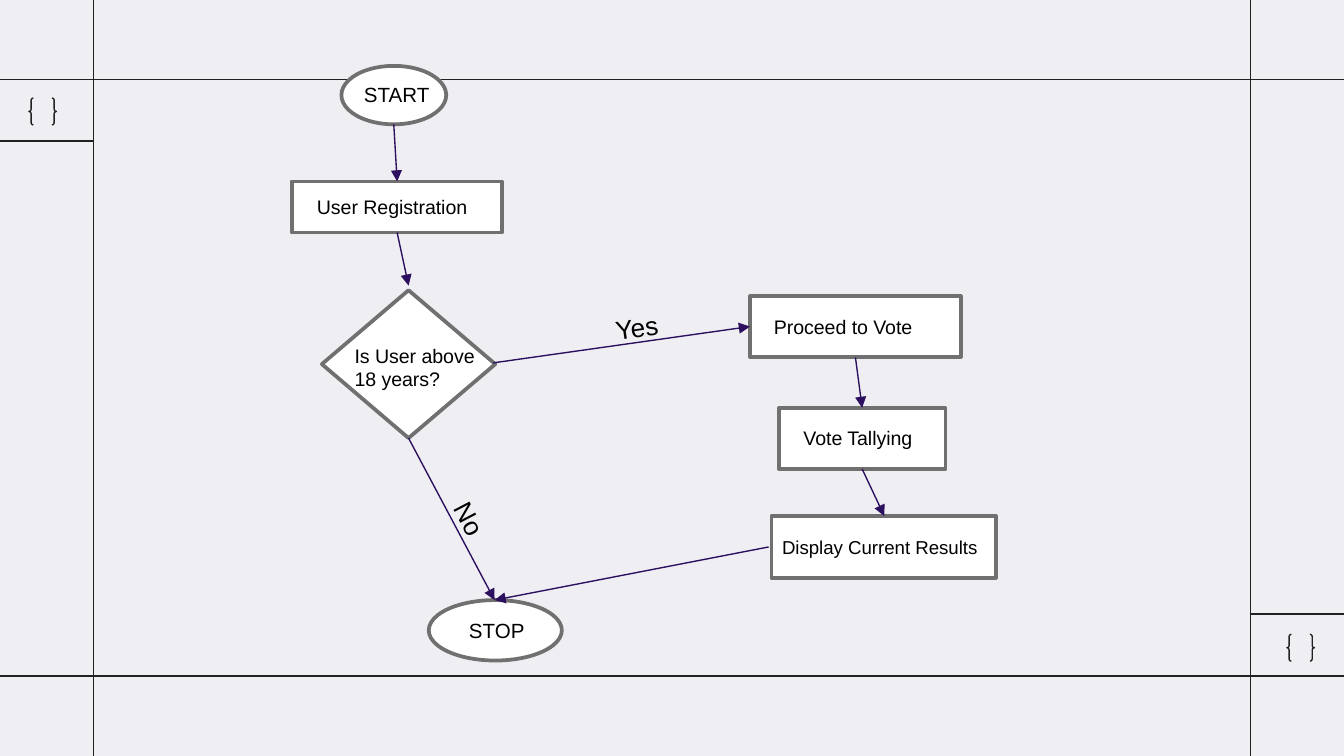
from dataclasses import dataclass

from lxml import etree
from pptx import Presentation
from pptx import util as u
from pptx.dml.color import RGBColor
from pptx.enum import shapes, text
from pptx.oxml import ns

PX = u.Inches(1) // 200
WIDTH, HEIGHT = 2000, 1125


@dataclass(frozen=True)
class Theme:
    background: str = "EFEEF3"
    frame: str = "222020"
    fill: str = "FFFFFF"
    border: str = "707070"
    arrow: str = "2C105F"
    ink: str = "000000"
    font: str = "Arial"
    thin: float = 0.75
    thick: float = 2
    small: float = 10
    body: float = 10.5
    terminal: float = 11
    branch: float = 14


THEME = Theme()
KIND = shapes.MSO_SHAPE

FRAME_LINES = [
    ((-2, 118), (2002, 118)),
    ((-2, 1006), (2002, 1006)),
    ((139, HEIGHT), (139, 0)),
    ((1861, HEIGHT), (1861, 0)),
    ((1861, 914), (2002, 914)),
    ((-2, 210), (139, 210)),
]

# Each step: outline kind, outline box, label, label box, type size
STEPS = [
    (KIND.OVAL, (508, 98, 156, 87), "START", (522, 112, 182, 58), THEME.terminal),
    (KIND.RECTANGLE, (434, 270, 313, 76), "User Registration", (452, 280, 278, 56), THEME.body),
    (KIND.DIAMOND, (479, 432, 258, 220), "Is User above 18 years?", (508, 502, 234, 90), THEME.body),
    (KIND.OVAL, (638, 893, 198, 90), "STOP", (678, 910, 138, 58), THEME.terminal),
    (KIND.RECTANGLE, (1116, 441, 314, 90), "Proceed to Vote", (1132, 459, 282, 58), THEME.body),
    (KIND.RECTANGLE, (1159, 607, 248, 91), "Vote Tallying", (1176, 624, 248, 56), THEME.body),
    (KIND.RECTANGLE, (1148, 768, 334, 92), "Display Current Results", (1144, 788, 342, 54), THEME.small),
]

ARROWS = [
    ((586, 185), (591, 270)),
    ((591, 346), (608, 425)),
    ((608, 652), (736, 893)),
    ((1144, 814), (736, 893)),
    ((1283, 698), (1316, 768)),
    ((1273, 532), (1283, 607)),
    ((734, 540), (1116, 486)),
]

BRANCHES = [
    ("Yes", (896, 452, 134, 68), 351.9),
    ("No", (650, 744, 102, 68), 62.4),
]


def px(*lengths):
    return [length * PX for length in lengths]


def color(code):
    return RGBColor.from_string(code)


def style_line(line, code, weight):
    line.color.rgb = color(code)
    line.width = u.Pt(weight)


def add_outline(page, kind, box, line_color, weight, fill=None):
    shape = page.shapes.add_shape(kind, *px(*box))
    shape.shadow.inherit = False
    if fill:
        shape.fill.solid()
        shape.fill.fore_color.rgb = color(fill)
    else:
        shape.fill.background()
    style_line(shape.line, line_color, weight)


def add_label(page, words, box, size, rotation=0):
    label = page.shapes.add_textbox(*px(*box))
    label.rotation = rotation
    frame = label.text_frame
    frame.word_wrap = True
    frame.auto_size = text.MSO_AUTO_SIZE.SHAPE_TO_FIT_TEXT
    span = frame.paragraphs[0].add_run()
    span.text = words
    span.font.name = THEME.font
    span.font.size = u.Pt(size)
    span.font.color.rgb = color(THEME.ink)


def add_line(page, start, end, code, arrow=False):
    line = page.shapes.add_connector(shapes.MSO_CONNECTOR.STRAIGHT, *px(*start, *end))
    style_line(line.line, code, THEME.thin)
    properties = line.element.spPr
    if arrow:
        outline = properties.find(ns.qn("a:ln"))
        etree.SubElement(outline, ns.qn("a:tailEnd"), type="triangle")
    etree.SubElement(properties, ns.qn("a:effectLst"))


def add_frame(page):
    for left, top in [(43, 146), (1915, 944)]:
        add_outline(page, KIND.DOUBLE_BRACE, (left, top, 41, 40), THEME.frame, THEME.thin)
    for start, end in FRAME_LINES:
        add_line(page, start, end, THEME.frame)


def add_flowchart(page):
    for kind, box, words, label_box, size in STEPS:
        add_outline(page, kind, box, THEME.border, THEME.thick, THEME.fill)
        add_label(page, words, label_box, size)
    for start, end in ARROWS:
        add_line(page, start, end, THEME.arrow, arrow=True)
    for words, box, rotation in BRANCHES:
        add_label(page, words, box, THEME.branch, rotation)


def main():
    deck = Presentation()
    deck.slide_width, deck.slide_height = px(WIDTH, HEIGHT)
    page = deck.slides.add_slide(deck.slide_layouts[6])
    page.background.fill.solid()
    page.background.fill.fore_color.rgb = color(THEME.background)
    add_frame(page)
    add_flowchart(page)
    deck.save("out.pptx")


if __name__ == "__main__":
    main()
